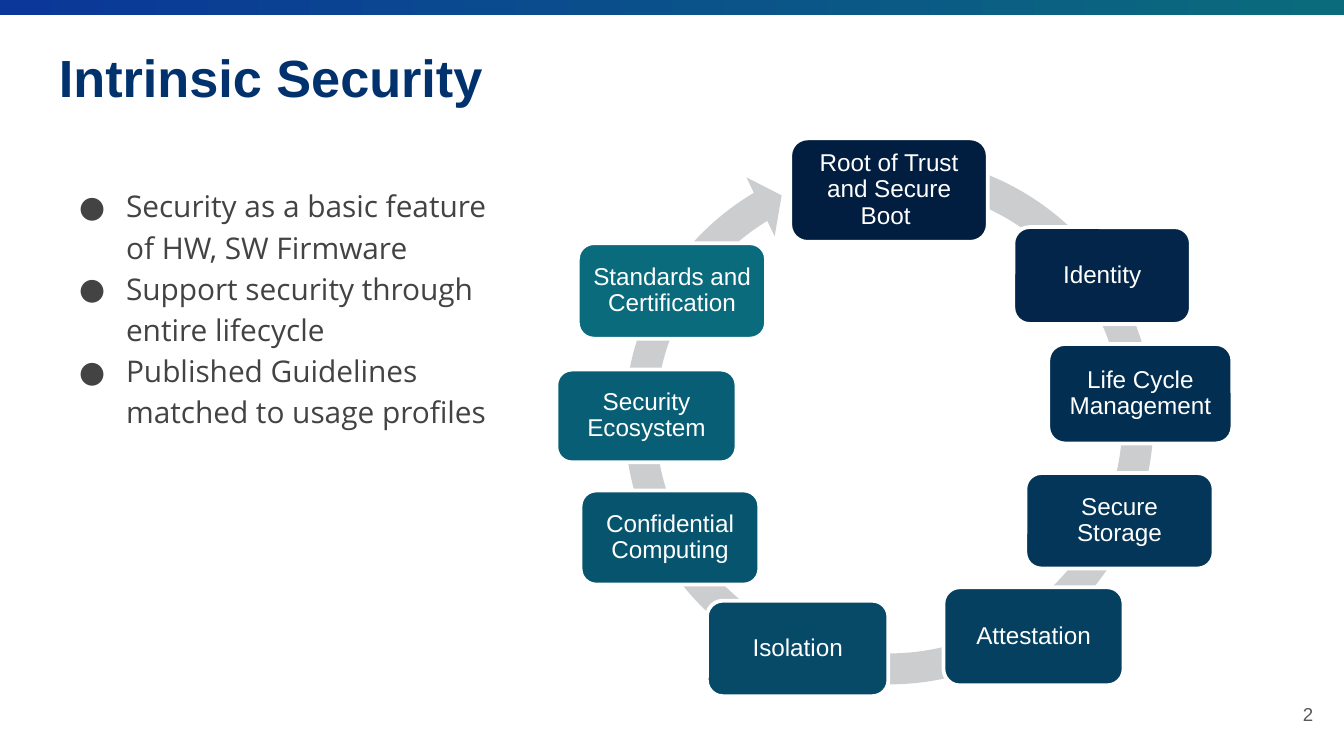
from lxml.etree import SubElement
from pptx import Presentation
from pptx.dml.color import RGBColor
from pptx.enum.shapes import MSO_SHAPE
from pptx.enum.text import MSO_ANCHOR, PP_ALIGN
from pptx.oxml.ns import qn
from pptx.util import Inches, Pt

COLORS = {
    "white": "FFFFFF",
    "title": "02326D",
    "body": "434343",
    "number": "595959",
    "ring": "CCCDCF",
    "bar_start": "0A3799",
    "bar_end": "0A6B7C",
}


def write_text(shape, text, size, color, font="Arial", bold=False, align=PP_ALIGN.LEFT,
               anchor=MSO_ANCHOR.TOP, inset=0.1, spacing=1.0, bullet=None):
    frame = shape.text_frame
    frame.word_wrap = True
    frame.vertical_anchor = anchor
    frame.margin_left = frame.margin_right = Inches(inset)
    frame.margin_top = frame.margin_bottom = Inches(inset)
    frame.text = text
    for paragraph in frame.paragraphs:
        paragraph.alignment = align
        paragraph.line_spacing = spacing
        if bullet:
            properties = paragraph._p.get_or_add_pPr()
            properties.set("marL", str(Inches(0.5)))
            properties.set("indent", str(Inches(-0.35)))
            bullet_color = SubElement(properties, qn("a:buClr"))
            SubElement(bullet_color, qn("a:srgbClr"), val=color)
            SubElement(properties, qn("a:buSzPts"), val=str(size * 100))
            SubElement(properties, qn("a:buFont"), typeface=font)
            SubElement(properties, qn("a:buChar"), char=bullet)
        paragraph.font.name = font
        paragraph.font.size = Pt(size)
        paragraph.font.bold = bold
        paragraph.font.color.rgb = RGBColor.from_string(color)


def add_filled_shape(kind, left, top, width, height, color):
    shape = slide.shapes.add_shape(kind, Inches(left), Inches(top), Inches(width), Inches(height))
    shape.shadow.inherit = False
    shape.fill.solid()
    shape.fill.fore_color.rgb = RGBColor.from_string(color)
    shape.line.fill.background()
    return shape


presentation = Presentation()
presentation.slide_width = Inches(10)
presentation.slide_height = Inches(10 * 9 / 16)
slide = presentation.slides.add_slide(presentation.slide_layouts[6])

top_bar = add_filled_shape(MSO_SHAPE.RECTANGLE, 0, 0, 10, 0.11, COLORS["bar_start"])
top_bar.fill.gradient()
top_bar.fill.gradient_angle = 0
for stop, name in zip(top_bar.fill.gradient_stops, ("bar_start", "bar_end")):
    stop.color.rgb = RGBColor.from_string(COLORS[name])

title = slide.shapes.add_textbox(Inches(0.34), Inches(0.24), Inches(9.32), Inches(0.82))
write_text(title, "Intrinsic Security", size=28, color=COLORS["title"], bold=True)

goals = [
    "Security as a basic feature of HW, SW Firmware",
    "Support security through entire lifecycle",
    "Published Guidelines matched to usage profiles",
]
body = add_filled_shape(MSO_SHAPE.RECTANGLE, 0.34, 1.26, 3.4, 3.74, COLORS["white"])
write_text(body, "\n".join(goals), size=16, color=COLORS["body"], font="Open Sans",
           spacing=1.15, bullet="●")

slide_number = slide.shapes.add_textbox(Inches(9.27), Inches(5.1), Inches(0.6), Inches(0.43))
write_text(slide_number, "2", size=10, color=COLORS["number"], align=PP_ALIGN.RIGHT,
           anchor=MSO_ANCHOR.MIDDLE)

ring = add_filled_shape(MSO_SHAPE.CIRCULAR_ARROW, 4.52, 1.03, 4.19, 4.19, COLORS["ring"])
for index, value in enumerate((0.055, 3.31, 143.35, 170.54, 0.058)):
    ring.adjustments[index] = value

stages = [
    ("Root of Trust and Secure Boot ", 5.88, 1.03, 1.47, 0.77, "011E41"),
    ("Identity", 7.54, 1.69, 1.32, 0.72, "022549"),
    ("Life Cycle Management", 7.8, 2.56, 1.37, 0.74, "022E51"),
    ("Secure Storage", 7.63, 3.52, 1.4, 0.71, "033658"),
    ("Attestation", 7.02, 4.37, 1.34, 0.73, "054060"),
    ("Isolation", 5.26, 4.47, 1.35, 0.71, "064A67"),
    ("Confidential Computing", 4.32, 3.65, 1.33, 0.7, "07546E"),
    ("Security Ecosystem", 4.14, 2.75, 1.34, 0.69, "085F75"),
    ("Standards and Certification", 4.3, 1.81, 1.4, 0.71, "0A6B7C"),
]
for label, left, top, width, height, color in stages:
    stage = add_filled_shape(MSO_SHAPE.ROUNDED_RECTANGLE, left, top, width, height, color)
    stage.line.color.rgb = RGBColor.from_string(COLORS["white"])
    stage.line.width = Pt(2)
    write_text(stage, label, size=13, color=COLORS["white"], align=PP_ALIGN.CENTER,
               anchor=MSO_ANCHOR.MIDDLE, inset=0.05, spacing=0.9)

presentation.save("out.pptx")
